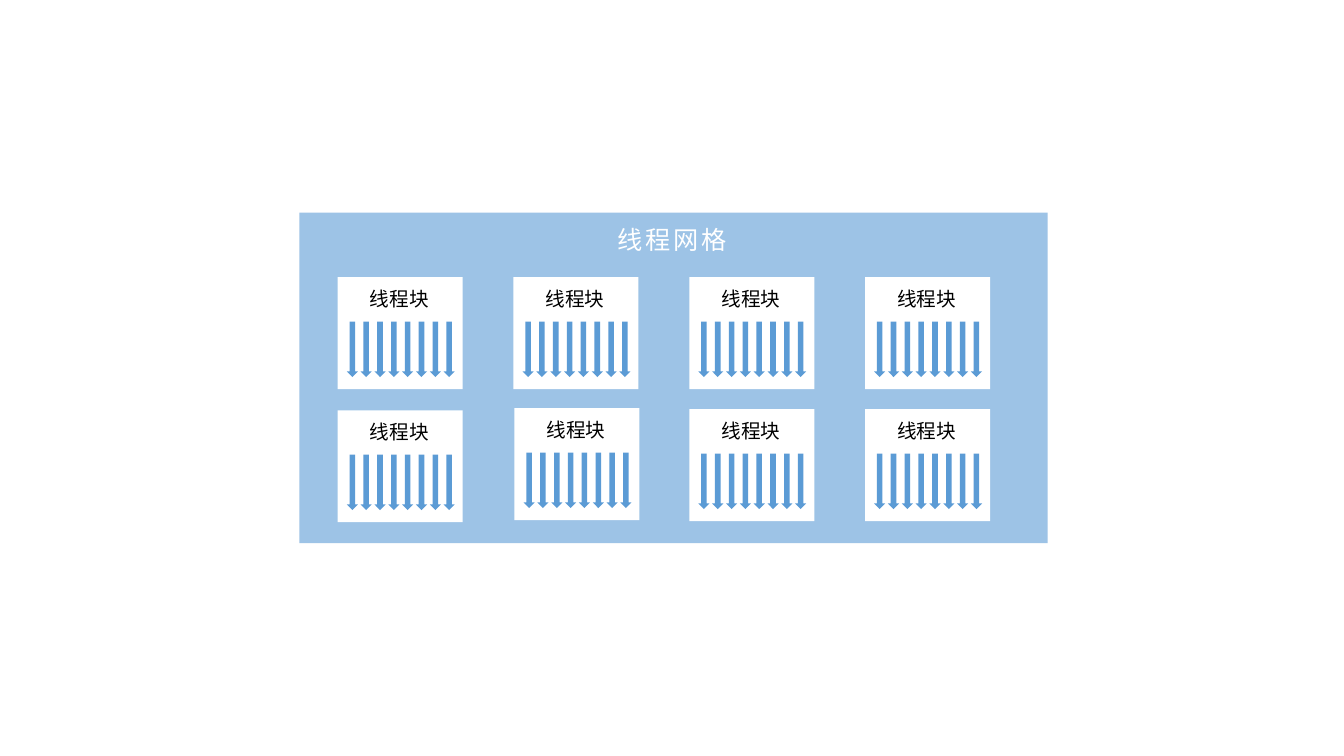
from pptx import Presentation
from pptx.dml.color import RGBColor
from pptx.enum.shapes import MSO_SHAPE
from pptx.enum.text import MSO_ANCHOR, MSO_AUTO_SIZE, PP_ALIGN
from pptx.oxml.ns import qn
from pptx.util import Inches, Pt
from lxml.etree import SubElement

# Content
TITLE = "线程网格"
BLOCK_LABEL = "线程块"
ROWS, COLS, THREADS = 2, 4, 8
FONT = "Noto Sans CJK SC"
COLORS = {"grid": "9DC3E6", "block": "FFFFFF", "thread": "5B9BD5",
          "title": "FFFFFF", "label": "000000"}

# Geometry in inches
GRID = (2.97, 2.11, 7.42, 3.28)
TITLE_BOX = (6.02, 2.18, 2.62, 0.4)
BLOCK_W, BLOCK_H = 1.24, 1.11
LEFT, TOP = 3.35, 2.75
COL_STEP, ROW_STEP = (8.58 - LEFT) / (COLS - 1), 1.31
THREAD_W, THREAD_H = 0.11, 0.55
THREAD_X, THREAD_Y = 0.09, 0.44
THREAD_STEP = 0.96 / (THREADS - 1)
NUDGE = {(1, 0): (0, 0.01), (1, 1): (0.01, -0.01)}  # (row, col): (dx, dy)


def add_box(s, kind, box, color):
    sp = s.shapes.add_shape(kind, *map(Inches, box))
    sp.shadow.inherit = False
    sp.fill.solid()
    sp.fill.fore_color.rgb = RGBColor.from_string(COLORS[color])
    sp.line.fill.background()
    return sp


def write(sp, text, size, color, wrap=True, spacing=0):
    tf = sp.text_frame
    tf.word_wrap = wrap
    tf.auto_size = MSO_AUTO_SIZE.NONE
    tf.vertical_anchor = MSO_ANCHOR.TOP
    p = tf.paragraphs[0]
    p.alignment = PP_ALIGN.LEFT
    p.line_spacing = 1.0
    p.space_before = Pt(0)
    r = p.add_run()
    r.text = text
    r.font.size = Pt(size)
    r.font.color.rgb = RGBColor.from_string(COLORS[color])
    r.font.name = FONT
    rPr = r.font._element
    SubElement(rPr, qn("a:ea")).set("typeface", FONT)
    if spacing:
        rPr.set("spc", str(spacing * 100))


def add_block(s, x, y):
    add_box(s, MSO_SHAPE.RECTANGLE, (x, y, BLOCK_W, BLOCK_H), "block")
    for i in range(THREADS):
        box = (x + THREAD_X + i * THREAD_STEP, y + THREAD_Y, THREAD_W, THREAD_H)
        add_box(s, MSO_SHAPE.DOWN_ARROW, box, "thread")
    label = s.shapes.add_textbox(*map(Inches, (x + 0.22, y + 0.05, 0.79, 0.34)))
    write(label, BLOCK_LABEL, 14, "label", wrap=False)


prs = Presentation()
prs.slide_width, prs.slide_height = Inches(13.33), Inches(7.5)
s = prs.slides.add_slide(prs.slide_layouts[5])

# Grid panel, with the title in front of it
panel = add_box(s, MSO_SHAPE.RECTANGLE, GRID, "grid")
title = s.shapes.title
title.left, title.top, title.width, title.height = map(Inches, TITLE_BOX)
write(title, TITLE, 18, "title", spacing=2)
panel.element.addnext(title.element)

# Thread blocks
for row in range(ROWS):
    for col in range(COLS):
        dx, dy = NUDGE.get((row, col), (0, 0))
        add_block(s, LEFT + col * COL_STEP + dx, TOP + row * ROW_STEP + dy)

prs.save("out.pptx")
